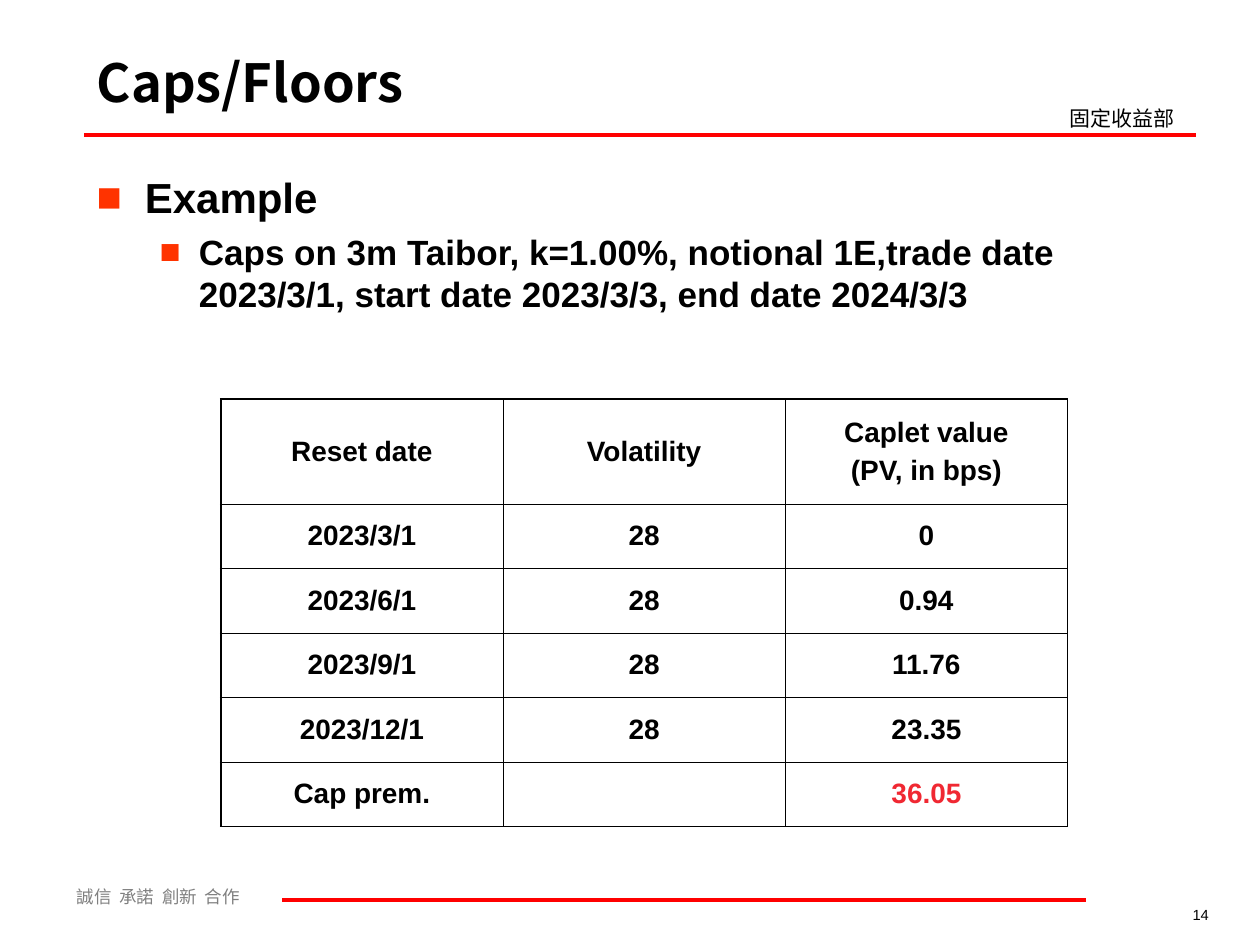
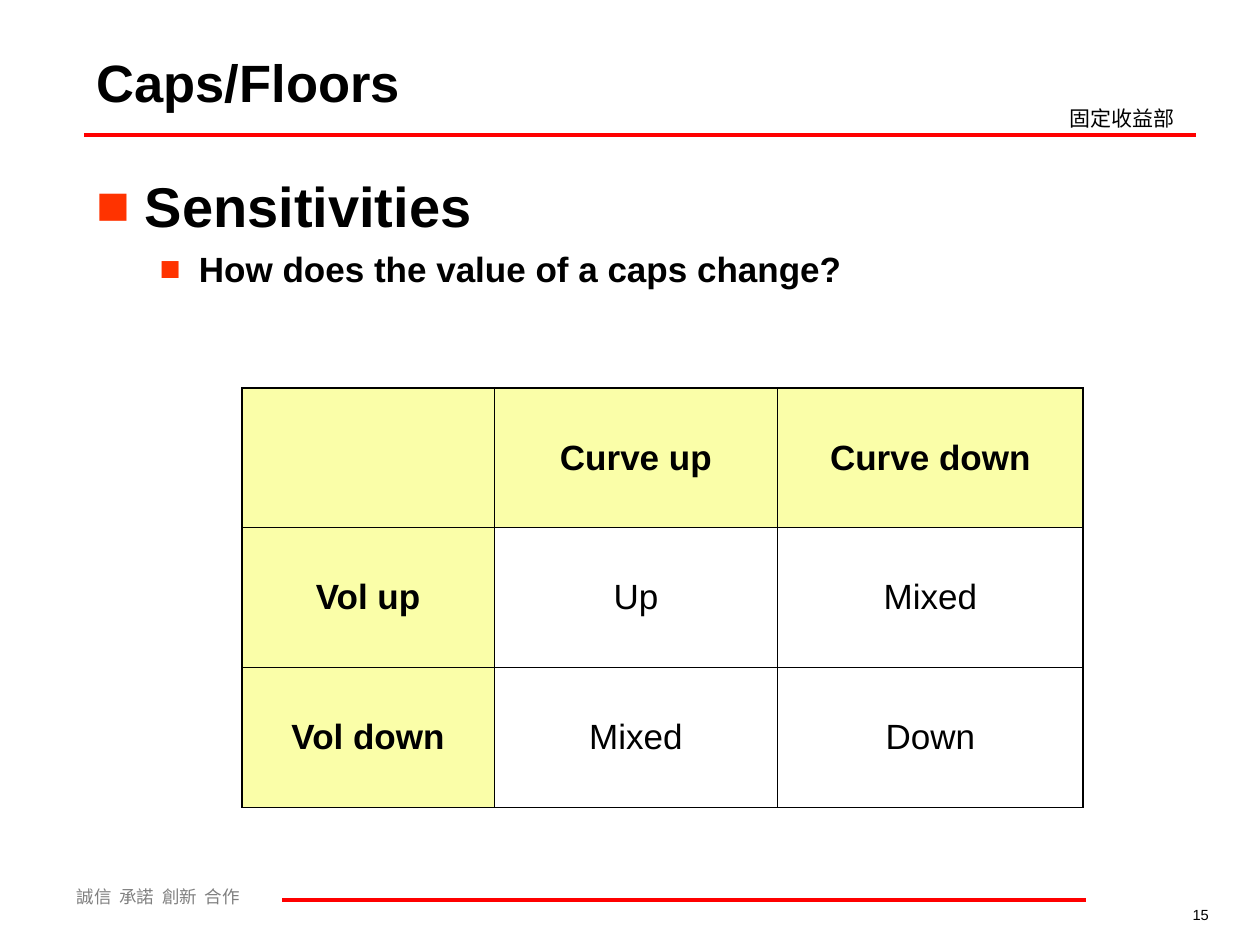
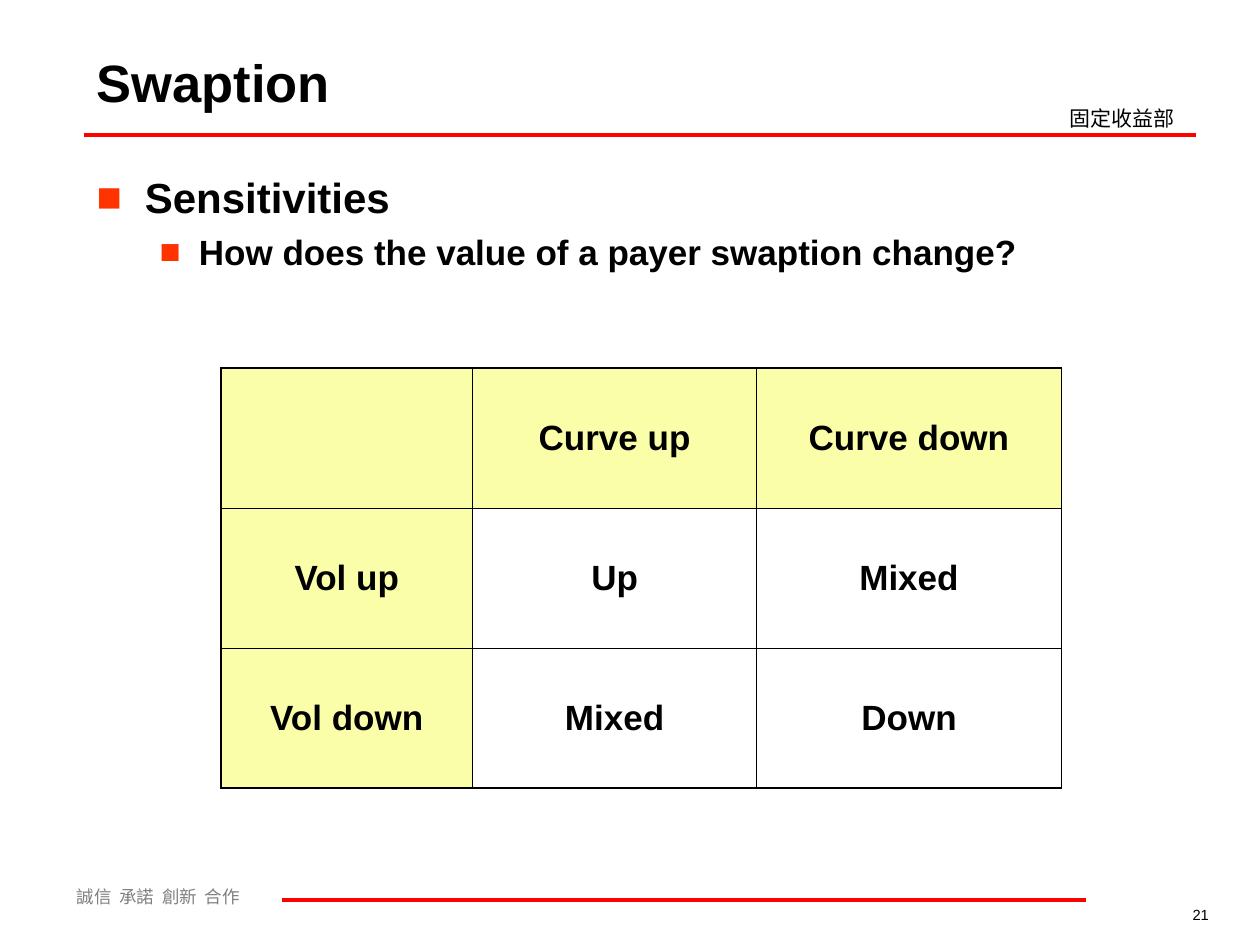
from lxml import etree
from pptx import Presentation, util as u
from pptx.dml.color import RGBColor
from pptx.enum import shapes, text
from pptx.oxml.ns import qn

COLORS = {"ink": "000000", "rule": "FF0000", "bullet": "FF3300",
          "motto": "808080", "header": "FAFEA8", "total": "F02832"}
LATIN, CJK = "Arial", "Noto Sans CJK SC"
MIDDLE = text.MSO_ANCHOR.MIDDLE
CENTER, RIGHT = text.PP_ALIGN.CENTER, text.PP_ALIGN.RIGHT
MOTTO = ["誠信", "承諾", "創新", "合作"]
RULES = [(1.7, 2.72, 24.1), (5.69, 18.14, 21.89)]
BULLETS = [(0.97, 0.97), (2.06, 0.79)]

SENSITIVITY = [["", "Curve up", "Curve down"],
               ["Vol up", "Up", "Mixed"],
               ["Vol down", "Mixed", "Down"]]
GRID = {"cols": [5.08, 5.72, 6.15], "rows": [2.82] * 3, "size": 20,
        "before": 5, "shaded": True, "cells": SENSITIVITY}
CAPLETS = {"cols": [5.69] * 3, "rows": [2.11] + [1.3] * 5, "size": 16,
           "before": 4, "shaded": False, "bold_body": True, "at": (4.45, 8.05),
           "cells": [["Reset date", "Volatility", "Caplet value\n(PV, in bps)"],
                     ["2023/3/1", "28", "0"],
                     ["2023/6/1", "28", "0.94"],
                     ["2023/9/1", "28", "11.76"],
                     ["2023/12/1", "28", "23.35"],
                     ["Cap prem.", "", "36.05"]]}
SLIDES = [
    {"page": "14", "title": "Caps/Floors", "font": CJK, "topic": ("Example", 24, 6),
     "detail": "Caps on 3m Taibor, k=1.00%, notional 1E,trade date 2023/3/1, "
               "start date 2023/3/3, end date 2024/3/3",
     "table": CAPLETS},
    {"page": "15", "title": "Caps/Floors", "font": LATIN, "topic": ("Sensitivities", 32, 8),
     "detail": "How does the value of a caps change?",
     "table": {**GRID, "at": (4.88, 7.82), "bold_body": False}},
    {"page": "21", "title": "Swaption", "font": LATIN, "topic": ("Sensitivities", 24, 6),
     "detail": "How does the value of a payer swaption change?",
     "table": {**GRID, "at": (4.45, 7.42), "bold_body": True}},
]


def add_run(p, words, size, color="ink", font=LATIN, bold=False):
    r = p.add_run()
    r.text = words
    for name, value in {"size": u.Pt(size), "name": font, "bold": bold}.items():
        setattr(r.font, name, value)
    r.font.color.rgb = RGBColor.from_string(COLORS[color])
    etree.SubElement(r.font._element, qn("a:ea"), typeface=font)
    return r


def add_box(s, left, top, width, height, anchor=text.MSO_ANCHOR.TOP):
    box = s.shapes.add_textbox(u.Cm(left), u.Cm(top), u.Cm(width), u.Cm(height))
    tf = box.text_frame
    for name, value in {"word_wrap": True, "vertical_anchor": anchor}.items():
        setattr(tf, name, value)
    return tf


prs = Presentation()
prs.slide_width, prs.slide_height = u.Cm(25.4), u.Cm(19.05)

for data in SLIDES:
    s = prs.slides.add_slide(prs.slide_layouts[6])

    p = add_box(s, 1.3, 17.73, 6.4, 0.69).paragraphs[0]
    p.space_before = u.Pt(6.2)
    for i, word in enumerate(MOTTO):
        if i:
            gap = add_run(p, " ", 10, "motto", CJK)
            gap.font._element.set("spc", "224")
        add_run(p, word, 10, "motto", CJK)

    for left, top, right in RULES:
        line = s.shapes.add_connector(shapes.MSO_CONNECTOR.STRAIGHT,
                                      u.Cm(left), u.Cm(top), u.Cm(right), u.Cm(top))
        line.line.color.rgb = RGBColor.from_string(COLORS["rule"])
        line.line.width = u.Pt(2.25)
        etree.SubElement(line._element.spPr, qn("a:effectLst"))

    p = add_box(s, 21.31, 2.01, 3.2, 0.76).paragraphs[0]
    p.space_before = u.Pt(7.5)
    add_run(p, "固定收益部", 12, font=CJK)

    p = add_box(s, 21.11, 18.14, 3.51, 0.61).paragraphs[0]
    p.alignment = RIGHT
    add_run(p, data["page"], 8.4)

    p = add_box(s, 1.7, 0.76, 18.59, 1.75, MIDDLE).paragraphs[0]
    add_run(p, data["title"], 30, font=data["font"], bold=True)

    tf = add_box(s, 1.7, 3.33, 22.43, 13.69)
    points = [data["topic"], (data["detail"], 20, 5)]
    for level, (words, size, before) in enumerate(points):
        p = tf.add_paragraph() if level else tf.paragraphs[0]
        p.level, p.space_before = level, u.Pt(before)
        margin, hang = BULLETS[level]
        pPr = p._p.get_or_add_pPr()
        pPr.set("marL", str(u.Cm(margin)))
        pPr.set("indent", str(-u.Cm(hang)))
        color = etree.SubElement(pPr, qn("a:buClr"))
        etree.SubElement(color, qn("a:srgbClr"), val=COLORS["bullet"])
        etree.SubElement(pPr, qn("a:buFont"), typeface=LATIN)
        etree.SubElement(pPr, qn("a:buChar"), char="■")
        add_run(p, words, size, bold=True)

    t = data["table"]
    left, top = t["at"]
    last_row, last_col = len(t["rows"]) - 1, len(t["cols"]) - 1
    table = s.shapes.add_table(last_row + 1, last_col + 1, u.Cm(left), u.Cm(top),
                               u.Cm(sum(t["cols"])), u.Cm(sum(t["rows"]))).table
    table.first_row = table.horz_banding = False
    for col, width in zip(table.columns, t["cols"]):
        col.width = u.Cm(width)
    for row, height in zip(table.rows, t["rows"]):
        row.height = u.Cm(height)

    for i, row in enumerate(t["cells"]):
        for j, words in enumerate(row):
            cell = table.cell(i, j)
            cell.vertical_anchor = MIDDLE
            heading = i == 0 or j == 0
            total = t is CAPLETS and i == last_row and j == last_col
            for k, part in enumerate(words.split("\n")):
                p = cell.text_frame.add_paragraph() if k else cell.text_frame.paragraphs[0]
                p.alignment, p.space_before = CENTER, u.Pt(t["before"])
                if part:
                    add_run(p, part, t["size"], "total" if total else "ink",
                            bold=heading or t["bold_body"])

            tcPr = cell._tc.get_or_add_tcPr()
            outer = {"L": j == 0, "R": j == last_col, "T": i == 0, "B": i == last_row}
            for side, edge in outer.items():
                ln = etree.SubElement(tcPr, qn(f"a:ln{side}"), w=str(u.Pt(1.08 if edge else 0.45)))
                fill = etree.SubElement(ln, qn("a:solidFill"))
                etree.SubElement(fill, qn("a:srgbClr"), val=COLORS["ink"])
            if t["shaded"] and heading:
                cell.fill.solid()
                cell.fill.fore_color.rgb = RGBColor.from_string(COLORS["header"])
            else:
                cell.fill.background()

prs.save("out.pptx")
